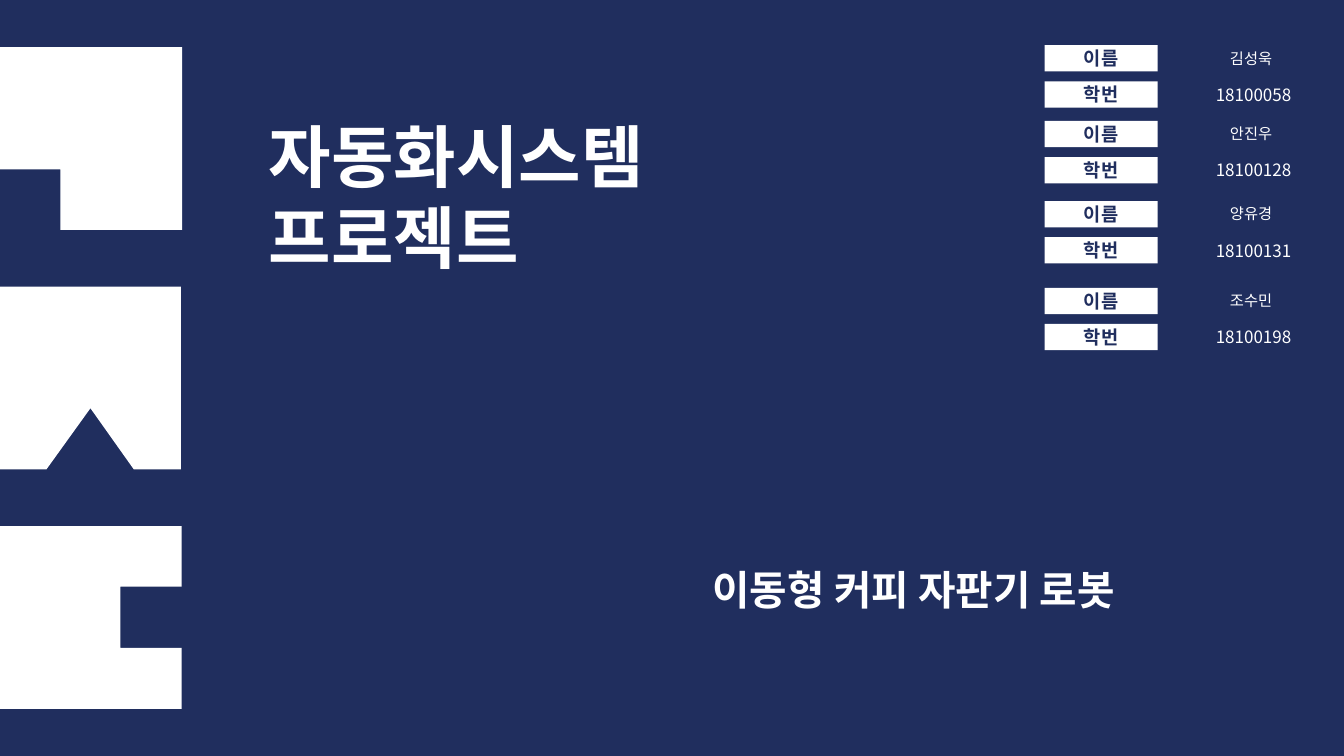
from dataclasses import dataclass

from lxml import etree
from pptx import Presentation
from pptx import util as u
from pptx.dml.color import RGBColor
from pptx.enum import shapes, text
from pptx.oxml.ns import qn

COLORS = {"navy": "202E5E", "white": "FFFFFF"}
SANS = "Noto Sans CJK KR"
HEADING = "Calibri"

LABEL_LEFT, LABEL_WIDTH, LABEL_HEIGHT = 17.09, 1.85, 0.43
ROW_PITCH = 0.59
BLOCK_TOP, BLOCK_PITCH = 0.77, 3.92

# Outlines of the three edge blocks, in inches from each block's top left corner
BLOCKS = [
    [(0, 0), (2.98, 0), (2.98, 2.99), (0.99, 2.99), (0.99, 2), (0, 2)],
    [(0, 0), (2.96, 0), (2.96, 2.99), (2.19, 2.99), (1.48, 1.99), (0.76, 2.99), (0, 2.99)],
    [(0, 0), (2.97, 0), (2.97, 0.99), (1.97, 0.99), (1.97, 1.99), (2.97, 1.99),
     (2.97, 2.99), (0, 2.99)],
]


@dataclass
class Member:
    name: str
    number: str
    top: float


MEMBERS = [
    Member("김성욱", "18100058", 0.74),
    Member("안진우", "18100128", 1.98),
    Member("양유경", "18100131", 3.29),
    Member("조수민", "18100198", 4.71),
]


def color(name: str) -> RGBColor:
    return RGBColor.from_string(COLORS[name])


def paint(shape) -> None:
    shape.shadow.inherit = False
    shape.fill.solid()
    shape.fill.fore_color.rgb = color("white")
    shape.line.fill.background()


def write(shape, words: str, *, size: float, font: str = SANS, ink: str = "white",
          bold: bool = False, align=text.PP_ALIGN.CENTER,
          anchor=text.MSO_ANCHOR.MIDDLE, inset: tuple = (0, 0)) -> None:
    """Fill a shape with text, one paragraph per line; inset is (side, top and bottom)."""
    frame = shape.text_frame
    frame.word_wrap = True
    frame.auto_size = text.MSO_AUTO_SIZE.NONE
    frame.vertical_anchor = anchor
    frame.margin_left = frame.margin_right = u.Inches(inset[0])
    frame.margin_top = frame.margin_bottom = u.Inches(inset[1])
    frame.text = words
    for para in frame.paragraphs:
        para.alignment = align
        for span in para.runs:
            span.font.name = font
            span.font.size = u.Pt(size)
            span.font.bold = bold
            span.font.color.rgb = color(ink)
            east_asian = etree.Element(qn("a:ea"), typeface=font)
            span.font._element.find(qn("a:latin")).addnext(east_asian)


def add_text(page, left: float, top: float, width: float, height: float,
             words: str, **style) -> None:
    box = page.shapes.add_textbox(*map(u.Inches, (left, top, width, height)))
    write(box, words, **style)


def add_block(page, outline: list, top: float) -> None:
    points = [(u.Inches(x), u.Inches(top + y)) for x, y in outline]
    builder = page.shapes.build_freeform(*points[0])
    builder.add_line_segments(points[1:], close=True)
    paint(builder.convert_to_shape())


def add_label(page, words: str, top: float) -> None:
    label = page.shapes.add_shape(
        shapes.MSO_SHAPE.RECTANGLE,
        *map(u.Inches, (LABEL_LEFT, top, LABEL_WIDTH, LABEL_HEIGHT)))
    paint(label)
    write(label, words, size=22, ink="navy", bold=True)


def add_member(page, member: Member) -> None:
    add_label(page, "이름", member.top)
    add_label(page, "학번", member.top + ROW_PITCH)
    add_text(page, 19.83, member.top + 0.01, 1.28, 0.4, member.name, size=18)
    add_text(page, 19.77, member.top + 0.63, 1.48, 0.35, member.number, size=20)


def main() -> None:
    deck = Presentation()
    deck.slide_width, deck.slide_height = u.Inches(21.99), u.Inches(12.37)
    page = deck.slides.add_slide(deck.slide_layouts[5])
    page.background.fill.solid()
    page.background.fill.fore_color.rgb = color("navy")

    heading = dict(font=HEADING, bold=True, align=text.PP_ALIGN.LEFT,
                   anchor=text.MSO_ANCHOR.TOP, inset=(0.1, 0.05))
    title = page.shapes.title
    title.left, title.top, title.width, title.height = map(u.Inches, (4.3, 1.82, 13.7, 2.79))
    write(title, "자동화시스템\n프로젝트", size=80, **heading)
    add_text(page, 11.56, 9.19, 7.38, 0.91, "이동형 커피 자판기 로봇", size=48, **heading)

    for index, outline in enumerate(BLOCKS):
        add_block(page, outline, BLOCK_TOP + index * BLOCK_PITCH)
    for member in MEMBERS:
        add_member(page, member)

    deck.save("out.pptx")


if __name__ == "__main__":
    main()
